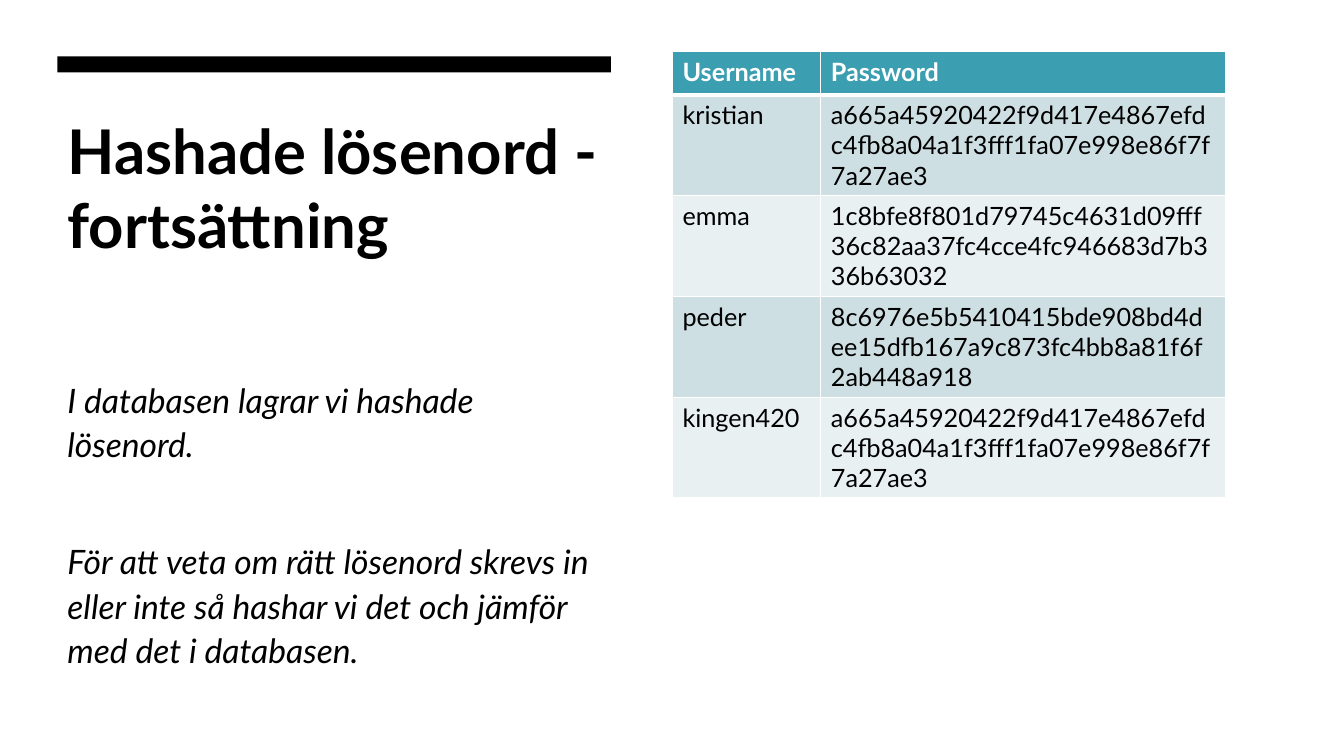
from lxml.etree import SubElement
from pptx import Presentation
from pptx.dml.color import RGBColor
from pptx.enum.shapes import MSO_SHAPE
from pptx.enum.text import MSO_ANCHOR, MSO_AUTO_SIZE, PP_ALIGN
from pptx.oxml.ns import qn
from pptx.util import Inches, Pt

BLACK = RGBColor(0x00, 0x00, 0x00)
WHITE = RGBColor(0xFF, 0xFF, 0xFF)
TEAL = RGBColor(0x3B, 0x9E, 0xB1)
BANDS = (RGBColor(0xCE, 0xDF, 0xE4), RGBColor(0xE8, 0xF0, 0xF2))

COLUMN_WIDTH = 5.49
LEFT, RIGHT = 0.57, 6.67
HEADER_HEIGHT, ROW_HEIGHT = 0.43, 1.0
NAME_SHARE = 0.268

TITLE = "Hashade lösenord - fortsättning"
# Each paragraph with the space before it, in points
EXPLANATION = (
    ("I databasen lagrar vi hashade lösenord.", 10),
    ("För att veta om rätt lösenord skrevs in eller inte så hashar vi det "
     "och jämför med det i databasen.", 52),
)
HEADINGS = ("Username", "Password")
ACCOUNTS = (
    ("kristian", "a665a45920422f9d417e4867efdc4fb8a04a1f3fff1fa07e998e86f7f7a27ae3"),
    ("emma", "1c8bfe8f801d79745c4631d09fff36c82aa37fc4cce4fc946683d7b336b63032"),
    ("peder", "8c6976e5b5410415bde908bd4dee15dfb167a9c873fc4bb8a81f6f2ab448a918"),
    ("kingen420", "a665a45920422f9d417e4867efdc4fb8a04a1f3fff1fa07e998e86f7f7a27ae3"),
)


def style_font(font, size, color=BLACK, **traits):
    font.color.rgb = color
    settings = {"name": "Lato", "size": Pt(size), **traits}
    for key, value in settings.items():
        setattr(font, key, value)


def prepare_frame(frame):
    settings = {"word_wrap": True, "auto_size": MSO_AUTO_SIZE.NONE,
                "vertical_anchor": MSO_ANCHOR.TOP}
    for key, value in settings.items():
        setattr(frame, key, value)


def add_bar(slide, left, top, width, height):
    bar = slide.shapes.add_shape(MSO_SHAPE.RECTANGLE, left, top, width, height)
    bar.shadow.inherit = False
    bar.fill.solid()
    bar.fill.fore_color.rgb = BLACK
    bar.line.fill.background()


def place_title(slide, left, top, width, height):
    title = slide.shapes.title
    title.left, title.top, title.width, title.height = left, top, width, height
    prepare_frame(title.text_frame)
    title.text_frame.text = TITLE
    heading = title.text_frame.paragraphs[0]
    heading.alignment = PP_ALIGN.LEFT
    style_font(heading.runs[0].font, 44, bold=True)


def add_explanation(slide, left, top, width, height):
    frame = slide.shapes.add_textbox(left, top, width, height).text_frame
    prepare_frame(frame)
    for i, (sentence, gap) in enumerate(EXPLANATION):
        paragraph = frame.add_paragraph() if i else frame.paragraphs[0]
        paragraph.line_spacing = 1.1
        paragraph.space_before = Pt(gap)
        run = paragraph.add_run()
        run.text = sentence
        style_font(run.font, 24, italic=True)


def set_borders(cell, widths):
    """Draw white cell edges; widths maps an edge tag to points."""
    properties = cell._tc.get_or_add_tcPr()
    for position, (edge, points) in enumerate(widths.items()):
        line = SubElement(properties, qn(f"a:{edge}"), w=str(Pt(points)))
        fill = SubElement(line, qn("a:solidFill"))
        SubElement(fill, qn("a:srgbClr"), val=str(WHITE))
        properties.insert(position, line)


def add_account_table(slide, left, top, width, height):
    rows = (HEADINGS, *ACCOUNTS)
    table = slide.shapes.add_table(
        len(rows), len(HEADINGS), left, top, width, height).table
    name_width = int(width * NAME_SHARE)
    table.columns[0].width = name_width
    table.columns[1].width = width - name_width
    for r, values in enumerate(rows):
        is_header = r == 0
        table.rows[r].height = Inches(HEADER_HEIGHT if is_header else ROW_HEIGHT)
        for c, value in enumerate(values):
            cell = table.cell(r, c)
            cell.text = value
            cell.fill.solid()
            cell.fill.fore_color.rgb = TEAL if is_header else BANDS[(r - 1) % 2]
            style_font(cell.text_frame.paragraphs[0].runs[0].font, 18,
                       WHITE if is_header else BLACK, bold=is_header)
            set_borders(cell, {"lnL": 1, "lnR": 1, "lnT": 3 if r == 1 else 1,
                               "lnB": 3 if is_header else 1})


def main():
    deck = Presentation()
    deck.slide_width, deck.slide_height = Inches(13.33), Inches(7.5)
    slide = deck.slides.add_slide(deck.slide_layouts[5])
    table_height = HEADER_HEIGHT + ROW_HEIGHT * len(ACCOUNTS)
    regions = (
        (add_bar, LEFT, 0.56, 0.16),
        (place_title, LEFT, 1.07, 2.48),
        (add_explanation, LEFT, 3.68, 3.37),
        (add_account_table, RIGHT, 0.51, table_height),
    )
    for build, left, top, height in regions:
        build(slide, *map(Inches, (left, top, COLUMN_WIDTH, height)))
    deck.save("out.pptx")


if __name__ == "__main__":
    main()
